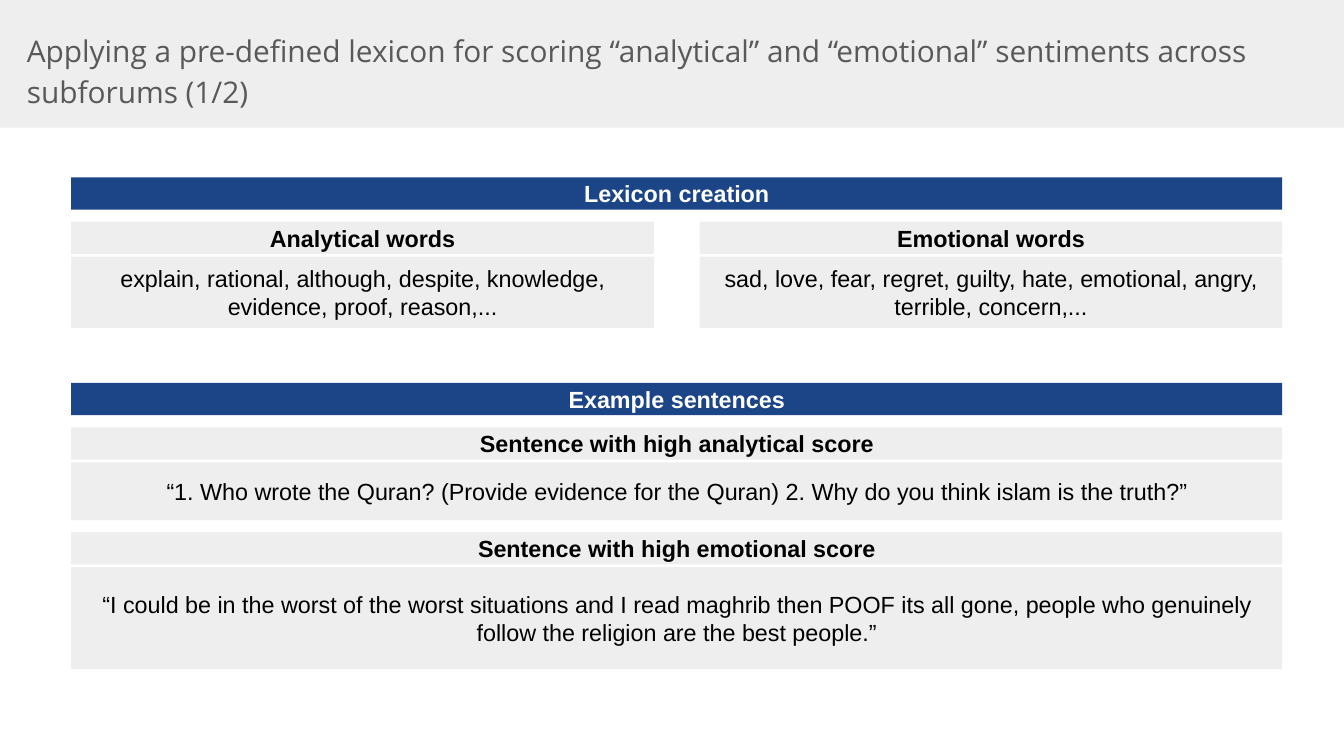
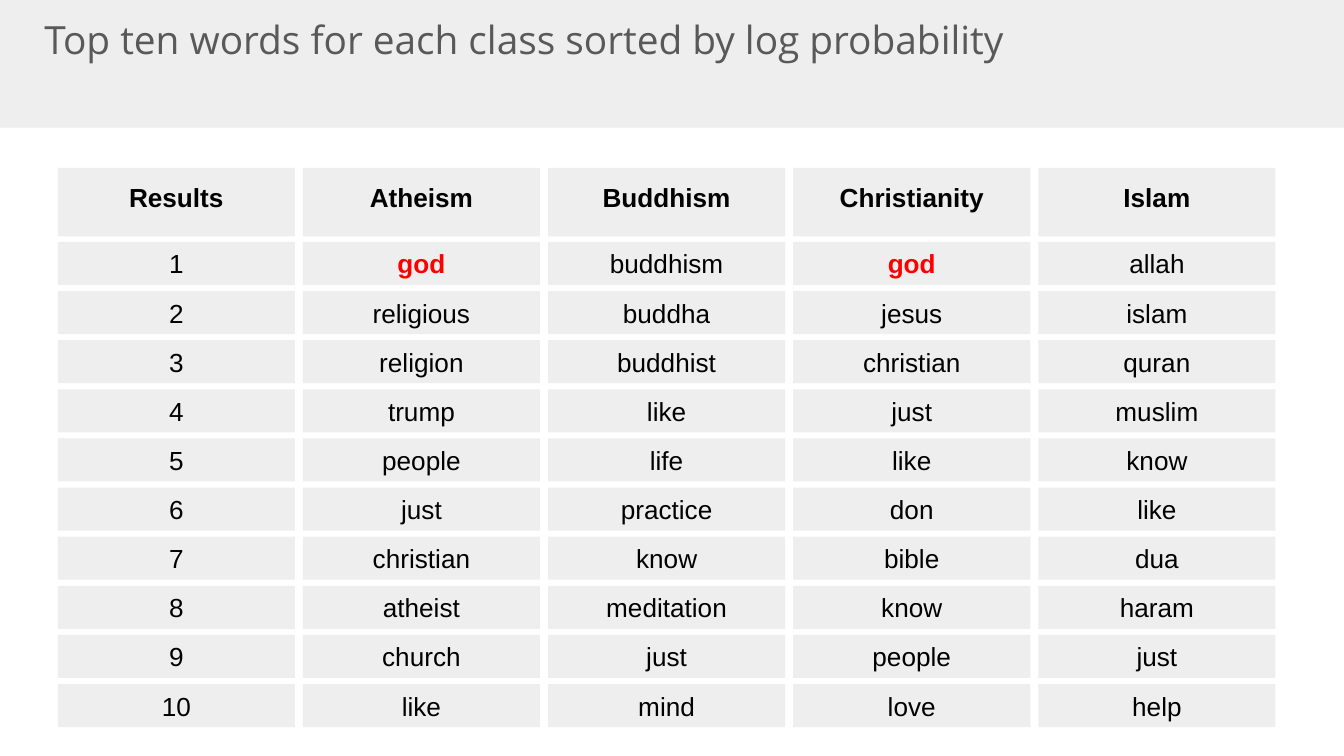
from dataclasses import dataclass

from pptx import Presentation
from pptx.dml.color import RGBColor
from pptx.enum.shapes import MSO_SHAPE
from pptx.enum.text import MSO_ANCHOR, MSO_AUTO_SIZE, PP_ALIGN
from pptx.shapes.autoshape import Shape
from pptx.slide import Slide
from pptx.text.text import TextFrame
from pptx.util import Inches, Pt

RECTANGLE = MSO_SHAPE.RECTANGLE
TOP, MIDDLE = MSO_ANCHOR.TOP, MSO_ANCHOR.MIDDLE
LEFT, CENTER = PP_ALIGN.LEFT, PP_ALIGN.CENTER
NO_AUTOFIT = MSO_AUTO_SIZE.NONE

COLORS = {
    "panel": "EEEEEE",
    "section": "1C4587",
    "title": "595959",
    "text": "000000",
    "inverse": "FFFFFF",
    "highlight": "FF0000",
}
TITLE_FONT, BODY_FONT = "Open Sans", "Arial"
SLIDE_WIDTH = 10
SLIDE_HEIGHT = SLIDE_WIDTH * 9 / 16
TITLE_ONLY_LAYOUT = 5
INSET = 0.1
BAND_TOP, BAND_HEIGHT = -0.07, 1.02


@dataclass(frozen=True)
class Box:
    left: float
    top: float
    width: float
    height: float


@dataclass(frozen=True)
class Columns:
    """Equal columns across a width, parted by equal gaps."""
    left: float
    width: float
    count: int
    gap: float

    def cell(self, column: int, top: float, height: float) -> Box:
        cell_width = (self.width - self.gap * (self.count - 1)) / self.count
        return Box(self.left + column * (cell_width + self.gap), top, cell_width, height)


@dataclass(frozen=True)
class Card:
    heading: str
    body: str


@dataclass(frozen=True)
class CardRow:
    cards: tuple[Card, ...]
    body_height: float


@dataclass(frozen=True)
class Section:
    title: str
    rows: tuple[CardRow, ...]


SECTIONS_LEFT, SECTIONS_TOP, SECTIONS_WIDTH = 0.53, 1.32, 9.01
BAR_HEIGHT, CARD_GAP = 0.24, 0.34
ROW_GAP, HEADING_GAP, SECTION_GAP = 0.09, 0.02, 0.41
SECTIONS = (
    Section("Lexicon creation", (
        CardRow((
            Card("Analytical words",
                 "explain, rational, although, despite, knowledge, evidence, proof, reason,..."),
            Card("Emotional words",
                 "sad, love, fear, regret, guilty, hate, emotional, angry, terrible, concern,..."),
        ), 0.53),
    )),
    Section("Example sentences", (
        CardRow((
            Card("Sentence with high analytical score",
                 "“1. Who wrote the Quran? (Provide evidence for the Quran) "
                 "2. Why do you think islam is the truth?”"),
        ), 0.43),
        CardRow((
            Card("Sentence with high emotional score",
                 "“I could be in the worst of the worst situations and I read maghrib then POOF "
                 "its all gone, people who genuinely follow the religion are the best people.”"),
        ), 0.76),
    )),
)

WORD_COLUMNS = Columns(left=0.43, width=9.06, count=5, gap=0.06)
HEADER_TOP, HEADER_HEIGHT = 1.25, 0.51
FIRST_WORD_TOP, LAST_WORD_TOP, WORD_HEIGHT = 1.8, 5.09, 0.32
HIGHLIGHTED_WORD = "god"
TOP_WORDS = {
    "Atheism": ("god", "religious", "religion", "trump", "people",
                "just", "christian", "atheist", "church", "like"),
    "Buddhism": ("buddhism", "buddha", "buddhist", "like", "life",
                 "practice", "know", "meditation", "just", "mind"),
    "Christianity": ("god", "jesus", "christian", "just", "like",
                     "don", "bible", "know", "people", "love"),
    "Islam": ("allah", "islam", "quran", "muslim", "know",
              "like", "dua", "haram", "just", "help"),
}


def write_text(frame: TextFrame, text: str, *, size: float, color: str = "text",
               font: str = BODY_FONT, bold: bool = False, align: PP_ALIGN = CENTER,
               anchor: MSO_ANCHOR = MIDDLE, line_spacing: float = 1.0) -> None:
    frame.word_wrap = True
    frame.auto_size = NO_AUTOFIT
    frame.vertical_anchor = anchor
    frame.margin_left = frame.margin_right = Inches(INSET)
    frame.margin_top = frame.margin_bottom = Inches(INSET)
    paragraph = frame.paragraphs[0]
    paragraph.alignment = align
    paragraph.line_spacing = line_spacing
    run = paragraph.add_run()
    run.text = text
    run.font.name = font
    run.font.size = Pt(size)
    run.font.bold = bold
    run.font.color.rgb = RGBColor.from_string(COLORS[color])


def place(shape: Shape, box: Box) -> None:
    shape.left, shape.top = Inches(box.left), Inches(box.top)
    shape.width, shape.height = Inches(box.width), Inches(box.height)


def add_panel(slide: Slide, box: Box, fill: str = "panel") -> Shape:
    shape = slide.shapes.add_shape(RECTANGLE, 0, 0, 0, 0)
    place(shape, box)
    shape.shadow.inherit = False
    shape.fill.solid()
    shape.fill.fore_color.rgb = RGBColor.from_string(COLORS[fill])
    shape.line.fill.background()
    return shape


def add_titled_slide(presentation: Presentation, title: str, title_box: Box, *,
                     size: float, line_spacing: float, band_left: float = 0) -> Slide:
    """Add a slide whose title stands in front of a band reaching the right edge."""
    slide = presentation.slides.add_slide(presentation.slide_layouts[TITLE_ONLY_LAYOUT])
    band = add_panel(slide, Box(band_left, BAND_TOP, SLIDE_WIDTH - band_left, BAND_HEIGHT))
    title_shape = slide.shapes.title
    place(title_shape, title_box)
    write_text(title_shape.text_frame, title, size=size, color="title", font=TITLE_FONT,
               align=LEFT, anchor=TOP, line_spacing=line_spacing)
    title_shape.element.addprevious(band.element)
    return slide


def add_card_row(slide: Slide, row: CardRow, top: float) -> float:
    """Draw headings over bodies and return the bottom edge."""
    columns = Columns(SECTIONS_LEFT, SECTIONS_WIDTH, len(row.cards), CARD_GAP)
    body_top = top + BAR_HEIGHT + HEADING_GAP
    for column, card in enumerate(row.cards):
        body = add_panel(slide, columns.cell(column, body_top, row.body_height))
        write_text(body.text_frame, card.body, size=12.5)
        heading = add_panel(slide, columns.cell(column, top, BAR_HEIGHT))
        write_text(heading.text_frame, card.heading, size=12.5, bold=True)
    return body_top + row.body_height


def add_section(slide: Slide, section: Section, top: float) -> float:
    """Draw a section bar with its card rows and return the bottom edge."""
    bar = add_panel(slide, Box(SECTIONS_LEFT, top, SECTIONS_WIDTH, BAR_HEIGHT), "section")
    write_text(bar.text_frame, section.title, size=12.5, color="inverse", bold=True)
    bottom = top + BAR_HEIGHT
    for row in section.rows:
        bottom = add_card_row(slide, row, bottom + ROW_GAP)
    return bottom


def build_lexicon_slide(presentation: Presentation) -> None:
    slide = add_titled_slide(
        presentation,
        "Applying a pre-defined lexicon for scoring “analytical” and “emotional” "
        "sentiments across subforums (1/2)",
        Box(0.1, 0.1, 9.82, 0.53), size=16, line_spacing=1.15)
    top = SECTIONS_TOP
    for section in SECTIONS:
        top = add_section(slide, section, top) + SECTION_GAP


def build_top_words_slide(presentation: Presentation) -> None:
    slide = add_titled_slide(
        presentation, "Top ten words for each class sorted by log probability",
        Box(0.23, 0.08, 9.57, 0.87), size=20.8, line_spacing=0.8, band_left=-0.07)
    ranks = tuple(str(rank) for rank in range(1, 11))
    row_pitch = (LAST_WORD_TOP - FIRST_WORD_TOP) / (len(ranks) - 1)
    for column, (heading, words) in enumerate({"Results": ranks, **TOP_WORDS}.items()):
        header = add_panel(slide, WORD_COLUMNS.cell(column, HEADER_TOP, HEADER_HEIGHT))
        write_text(header.text_frame, heading, size=14, bold=True, anchor=TOP)
        for row, word in enumerate(words):
            top = FIRST_WORD_TOP + row * row_pitch
            cell = add_panel(slide, WORD_COLUMNS.cell(column, top, WORD_HEIGHT))
            highlighted = word == HIGHLIGHTED_WORD
            write_text(cell.text_frame, word, size=14, bold=highlighted,
                       color="highlight" if highlighted else "text")


def main() -> None:
    presentation = Presentation()
    presentation.slide_width = Inches(SLIDE_WIDTH)
    presentation.slide_height = Inches(SLIDE_HEIGHT)
    build_lexicon_slide(presentation)
    build_top_words_slide(presentation)
    presentation.save("out.pptx")


if __name__ == "__main__":
    main()
